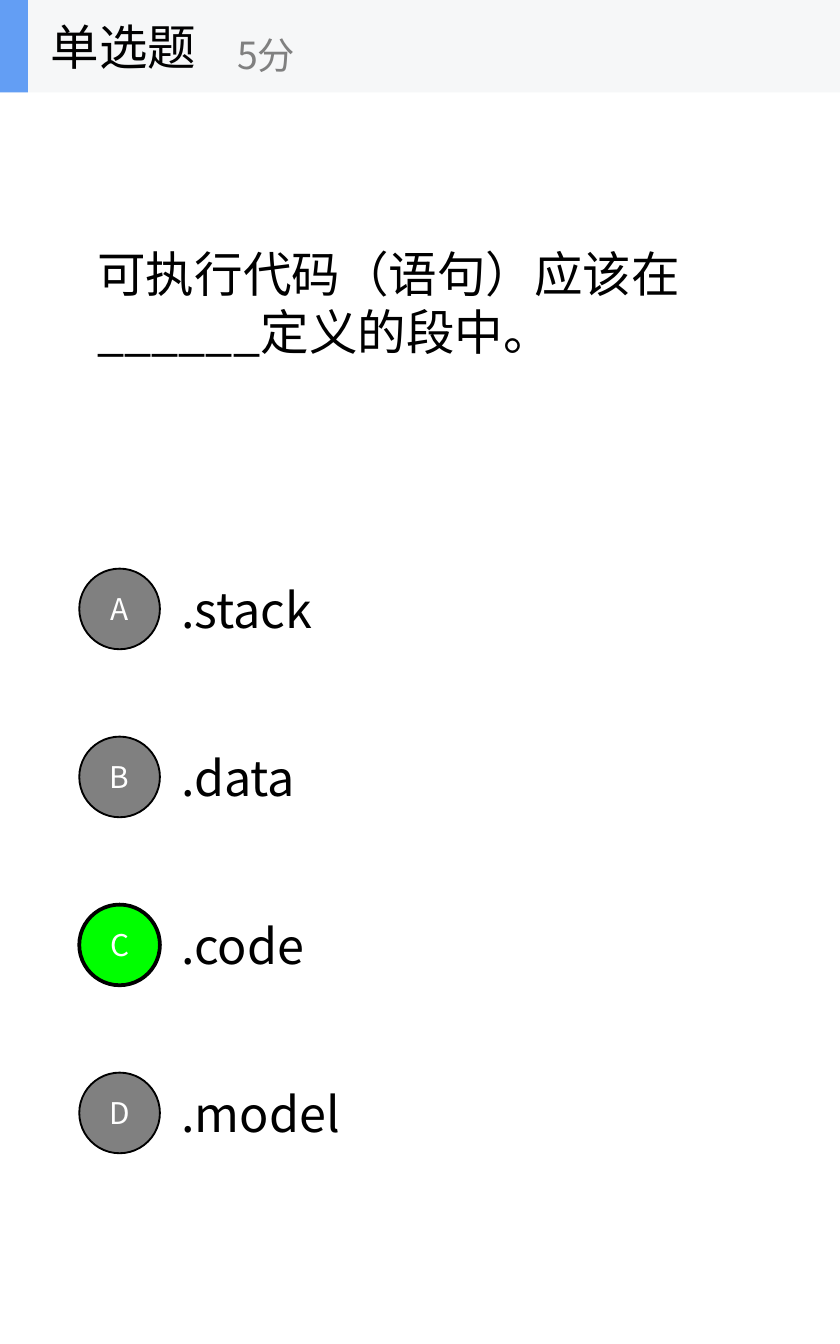
from dataclasses import dataclass
from typing import Any

from lxml import etree
from pptx import Presentation
from pptx.dml.color import RGBColor
from pptx.enum import shapes, text
from pptx.oxml import ns
from pptx.util import Pt

BLACK = RGBColor(0x00, 0x00, 0x00)
WHITE = RGBColor(0xFF, 0xFF, 0xFF)
GRAY = RGBColor(0x80, 0x80, 0x80)
GREEN = RGBColor(0x00, 0xFF, 0x00)
BLUE = RGBColor(0x63, 0x9E, 0xF4)
PALE = RGBColor(0xF6, 0xF7, 0xF8)

WIDTH, HEIGHT = 450, 720
HEADER_HEIGHT = 49.5
OPTIONS = [".stack", ".data", ".code", ".model"]
ANSWER = "C"
ROW_TOP, ROW_STEP, ROW_HEIGHT = 292.5, 90, 67.5
BADGE_LEFT, BADGE_SIZE = 42.5, 43.2


@dataclass
class QuizPage:
    """Draws styled elements, measured in points, on one quiz slide."""

    page: Any
    font: str = "Noto Sans CJK SC"

    def fill_text(self, box, words, size=26, color=BLACK, wrap=True, align=text.PP_ALIGN.LEFT):
        frame = box.text_frame
        frame_format = {
            "word_wrap": wrap,
            "auto_size": text.MSO_AUTO_SIZE.NONE,
            "vertical_anchor": text.MSO_ANCHOR.MIDDLE,
        }
        for name, value in frame_format.items():
            setattr(frame, name, value)
        para = frame.paragraphs[0]
        para.alignment = align
        span = para.add_run()
        span.text = words
        for name, value in {"name": self.font, "size": Pt(size)}.items():
            setattr(span.font, name, value)
        span.font.color.rgb = color
        east_asian = etree.SubElement(span.font._element, ns.qn("a:ea"))
        east_asian.set("typeface", self.font)

    def title(self, words, left, top, width, height):
        box = self.page.shapes.title
        place = {"left": left, "top": top, "width": width, "height": height}
        for name, value in place.items():
            setattr(box, name, Pt(value))
        self.fill_text(box, words)

    def label(self, words, *place, parent=None, **style):
        box = (parent or self.page).shapes.add_textbox(*map(Pt, place))
        self.fill_text(box, words, **style)

    def shape(self, kind, fill, *place, parent=None, line=0):
        box = (parent or self.page).shapes.add_shape(kind, *map(Pt, place))
        box.shadow.inherit = False
        box.fill.solid()
        box.fill.fore_color.rgb = fill
        if line:
            box.line.color.rgb = BLACK
            box.line.width = Pt(line)
        else:
            box.line.fill.background()
        return box

    def option(self, letter, words, top):
        chosen = letter == ANSWER
        self.label(words, 90, top, 315, ROW_HEIGHT)
        badge = self.shape(
            shapes.MSO_SHAPE.OVAL, GREEN if chosen else GRAY,
            BADGE_LEFT, top + (ROW_HEIGHT - BADGE_SIZE) / 2, BADGE_SIZE, BADGE_SIZE,
            line=2 if chosen else 1,
        )
        self.fill_text(badge, letter, size=16, color=WHITE, align=text.PP_ALIGN.CENTER)

    def header(self, kind, points):
        group = self.page.shapes.add_group_shape()
        for fill, width in ((PALE, WIDTH), (BLUE, 15)):
            self.shape(shapes.MSO_SHAPE.RECTANGLE, fill, 0, 0, width, HEADER_HEIGHT, parent=group)
        self.label(kind, 20, 0, 150, HEADER_HEIGHT, parent=group, wrap=False)
        self.label(points, 120, 9, 180, 40.5, parent=group, wrap=False, size=20, color=GRAY)


def main():
    deck = Presentation()
    deck.slide_width, deck.slide_height = Pt(WIDTH), Pt(HEIGHT)
    quiz = QuizPage(deck.slides.add_slide(deck.slide_layouts[5]))
    quiz.title("可执行代码（语句）应该在______定义的段中。", 45, HEADER_HEIGHT, 360, 225)
    for row, (letter, words) in enumerate(zip("ABCD", OPTIONS)):
        quiz.option(letter, words, ROW_TOP + row * ROW_STEP)
    quiz.header("单选题", "5分")
    deck.save("out.pptx")


if __name__ == "__main__":
    main()
